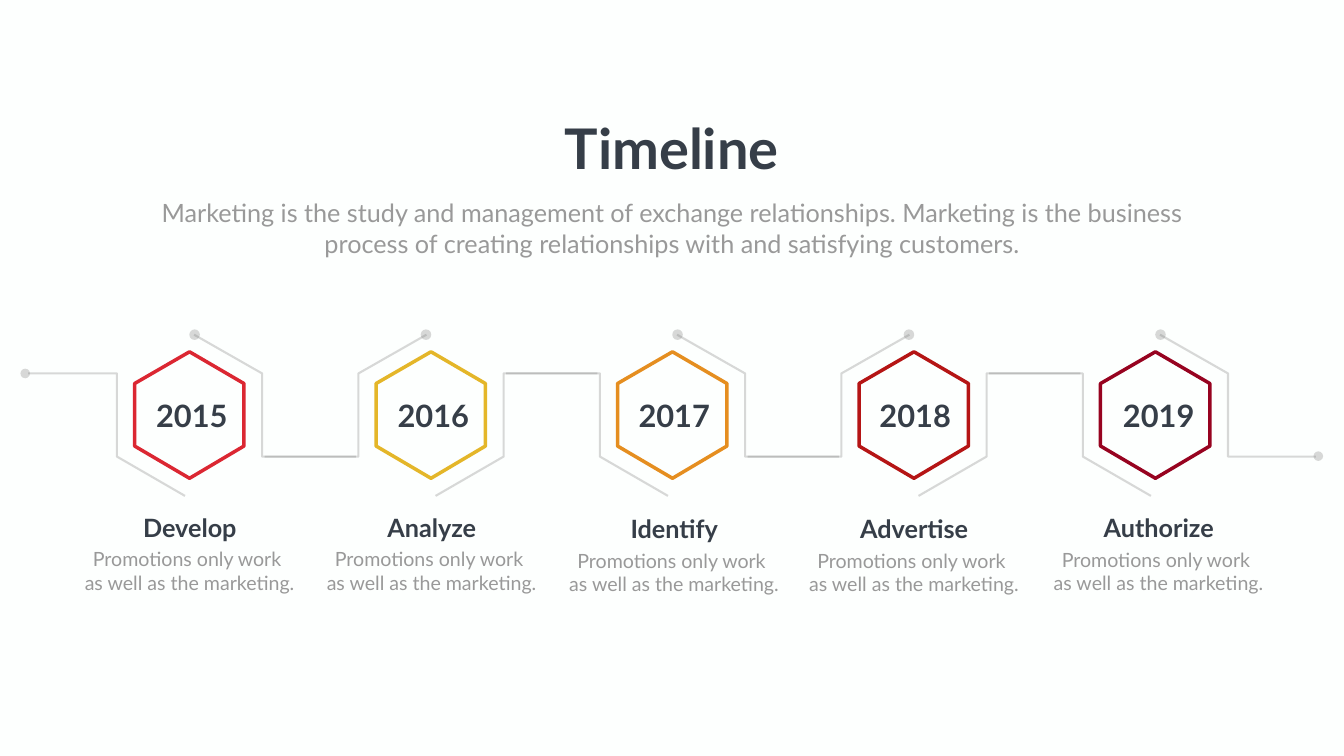
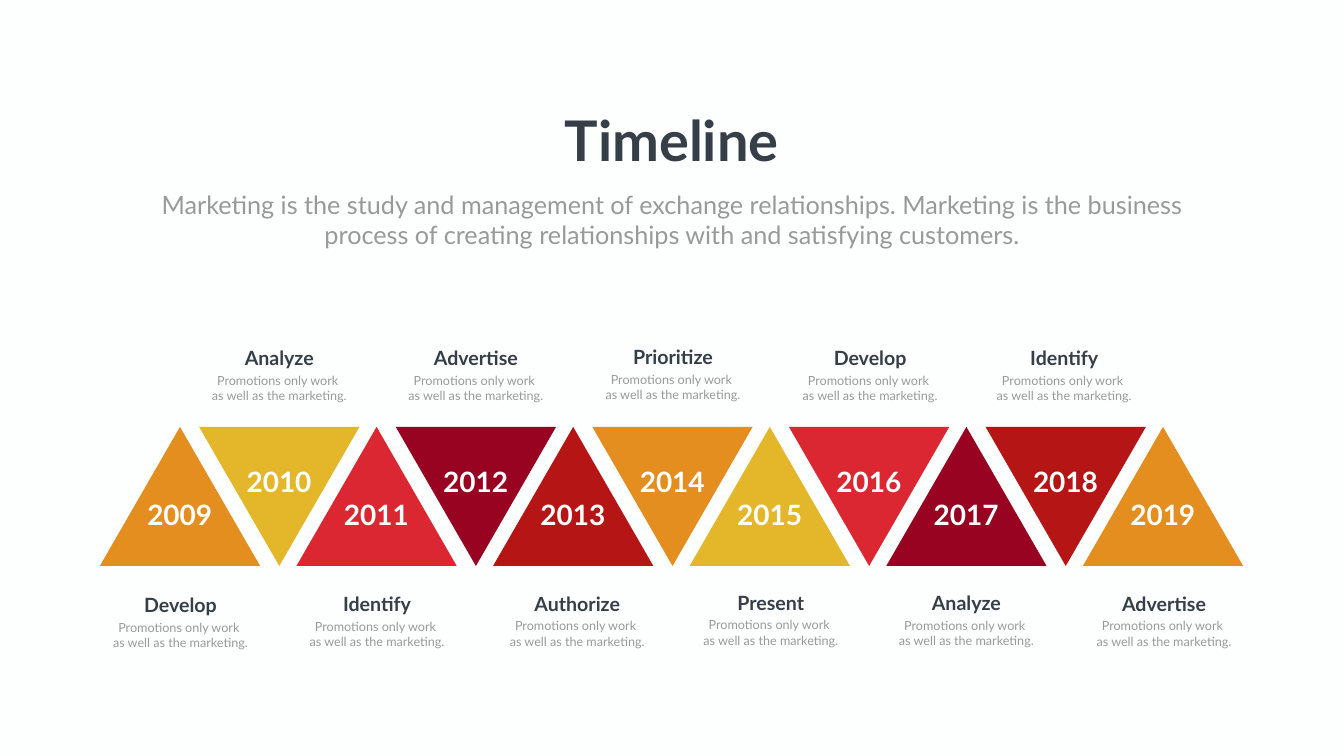
import pptx
import pptx.dml.color
import pptx.enum.shapes
import pptx.enum.text
import pptx.oxml
import pptx.oxml.ns
import pptx.util

Inches = pptx.util.Inches
RGBColor = pptx.dml.color.RGBColor
SHAPE = pptx.enum.shapes.MSO_SHAPE
FIT = pptx.enum.text.MSO_AUTO_SIZE

# Shared look
FONT = "Lato"
PAPER = RGBColor(0xFD, 0xFF, 0xFE)
INK = RGBColor(0x36, 0x3E, 0x48)
GREY = RGBColor(0x99, 0x99, 0x99)
TRACK = RGBColor(0x80, 0x80, 0x80)
RED = RGBColor(0xDB, 0x27, 0x32)
GOLD = RGBColor(0xE4, 0xB6, 0x29)
ORANGE = RGBColor(0xE5, 0x8E, 0x20)
BRICK = RGBColor(0xB5, 0x15, 0x15)
WINE = RGBColor(0x97, 0x03, 0x20)

TITLE = "Timeline"
INTRO = ("Marketing is the study and management of exchange relationships. "
         "Marketing is the business process of creating relationships "
         "with and satisfying customers.")
NOTE = "Promotions only work \nas well as the marketing."

# Year, year left, label, label left, label top, colour
HEXES = [
    ("2015", 2.5, "Develop", 2.46, 10.11, RED),
    ("2016", 7.29, "Analyze", 7.26, 10.11, GOLD),
    ("2017", 12.07, "Identify", 12.07, 10.14, ORANGE),
    ("2018", 16.85, "Advertise", 16.83, 10.14, BRICK),
    ("2019", 21.68, "Authorize", 21.68, 10.12, WINE),
]

# Label, label left, label top, colour
PEAKS = [
    ("Develop", 2.51, 11.72, ORANGE),
    ("Analyze", 4.47, 6.82, GOLD),
    ("Identify", 6.41, 11.7, RED),
    ("Advertise", 8.37, 6.82, WINE),
    ("Authorize", 10.38, 11.69, BRICK),
    ("Prioritize", 12.28, 6.8, ORANGE),
    ("Present", 14.22, 11.67, GOLD),
    ("Develop", 16.19, 6.82, RED),
    ("Analyze", 18.1, 11.68, WINE),
    ("Identify", 20.04, 6.82, BRICK),
    ("Advertise", 22.02, 11.69, ORANGE),
]


def write(slide, text, left, top, width, height, size=28, color=INK,
          bold=False, wrap=True, holder=None):
    """Set centred text in a placeholder or in a new text box."""
    box = holder or slide.shapes.add_textbox(0, 0, 0, 0)
    box.left, box.top = Inches(left), Inches(top)
    box.width, box.height = Inches(width), Inches(height)
    frame = box.text_frame
    frame.text = text
    frame.word_wrap = wrap
    frame.auto_size = FIT.SHAPE_TO_FIT_TEXT
    frame.vertical_anchor = pptx.enum.text.MSO_ANCHOR.TOP
    for para in frame.paragraphs:
        para.alignment = pptx.enum.text.PP_ALIGN.CENTER
        para.space_before = pptx.util.Pt(0)
        for run in para.runs:
            font = run.font
            font.name, font.size = FONT, pptx.util.Pt(size)
            font.bold, font.color.rgb = bold, color


def paint(shape, fill=None, line=None, weight=0):
    """Set fill and outline; None means no paint."""
    shape.shadow.inherit = False
    if fill is None:
        shape.fill.background()
    else:
        shape.fill.solid()
        shape.fill.fore_color.rgb = fill
    if line is None:
        shape.line.fill.background()
    else:
        shape.line.color.rgb = line
        shape.line.width = pptx.util.Pt(weight)


def fade(shape, percent):
    """Make each colour of the shape see-through."""
    for color in shape.element.spPr.iter(pptx.oxml.ns.qn("a:srgbClr")):
        alpha = pptx.oxml.parse_xml(
            "<a:alpha %s/>" % pptx.oxml.ns.nsdecls("a"))
        alpha.set("val", str(percent * 1000))
        color.append(alpha)


def outline(slide, points, close):
    points = [(Inches(x), Inches(y)) for x, y in points]
    path = slide.shapes.build_freeform(*points[0])
    path.add_line_segments(points[1:], close=close)
    return path.convert_to_shape()


def dot(slide, x, y, size):
    shape = slide.shapes.add_shape(
        SHAPE.OVAL, Inches(x - size / 2), Inches(y - size / 2),
        Inches(size), Inches(size))
    paint(shape, fill=TRACK)
    fade(shape, 30)


def arm(slide, mid, side, high, reach):
    """Draw one bent track; side is -1 for left and 1 for right."""
    near, far = (7.41, 9.06) if high else (9.06, 7.41)
    tip = 6.64 if high else 9.84
    bend = mid + side * 1.44
    track = outline(slide, [(mid + side * 0.09, tip), (bend, near),
                            (bend, far), (mid + side * reach, far)], False)
    paint(track, line=TRACK, weight=3)
    fade(track, 30)
    if high:
        dot(slide, mid + side * 0.1, 6.64, 0.21)


def hexagon(slide, mid, color):
    left, right = mid - 1.09, mid + 1.08
    shape = outline(slide, [(left, 7.61), (left, 8.85), (mid, 9.49),
                            (right, 8.85), (right, 7.61), (mid, 6.98)], True)
    paint(shape, fill=PAPER, line=color, weight=5)


def start(deck, top):
    """Add a slide with its title and intro."""
    slide = deck.slides.add_slide(deck.slide_layouts[0])
    write(slide, TITLE, 11.06, top, 4.53, 1.45, size=80, bold=True,
          wrap=False, holder=slide.shapes.title)
    write(slide, INTRO, 2.68, top + 1.66, 21.3, 1.31, size=36, color=GREY,
          holder=slide.placeholders[1])
    return slide


def hex_slide(deck):
    slide = start(deck, 2.21)
    mids = [3.76 + 4.79 * i for i in range(len(HEXES))]
    last = len(HEXES) - 1

    # Tracks and their end dots
    for i, mid in enumerate(mids):
        arm(slide, mid, -1, i % 2 == 1, 3.2 if i == 0 else 3.3)
        arm(slide, mid, 1, i % 2 == 0, 3.18 if i == last else 3.3)
    dot(slide, 0.5, 7.41, 0.19)
    dot(slide, 26.15, 9.05, 0.19)

    # Hexagons, years and labels
    for mid, (year, x, label, left, top, color) in zip(mids, HEXES):
        hexagon(slide, mid, color)
        write(slide, year, x, 7.83, 2.61, 0.84, size=44, bold=True)
        write(slide, label, left, top, 2.61, 0.71, size=36, bold=True)
        write(slide, NOTE, left - 1.17, top + 0.7, 4.94, 1.04, color=GREY)


def peak_slide(deck):
    slide = start(deck, 2.04)
    for i, (label, left, top, color) in enumerate(PEAKS):
        pair, down = divmod(i, 2)
        x = 1.98 + 3.9 * pair + 1.97 * down
        peak = slide.shapes.add_shape(
            SHAPE.ISOSCELES_TRIANGLE, Inches(x), Inches(8.47),
            Inches(3.18), Inches(2.76))
        peak.rotation = 180 * down
        paint(peak, fill=color)
        write(slide, str(2009 + i), x + 0.76, 9.17 if down else 9.83,
              1.65, 0.77, size=40, color=PAPER, bold=True)
        write(slide, label, left, top, 2.14, 0.57, bold=True)
        write(slide, NOTE, left - 0.58, top + 0.53, 3.3, 0.71, size=18,
              color=GREY)


def main():
    deck = pptx.Presentation()
    deck.slide_width, deck.slide_height = Inches(26.66), Inches(15)
    back = deck.slide_master.background.fill
    back.solid()
    back.fore_color.rgb = PAPER
    hex_slide(deck)
    peak_slide(deck)
    deck.save("out.pptx")


if __name__ == "__main__":
    main()
